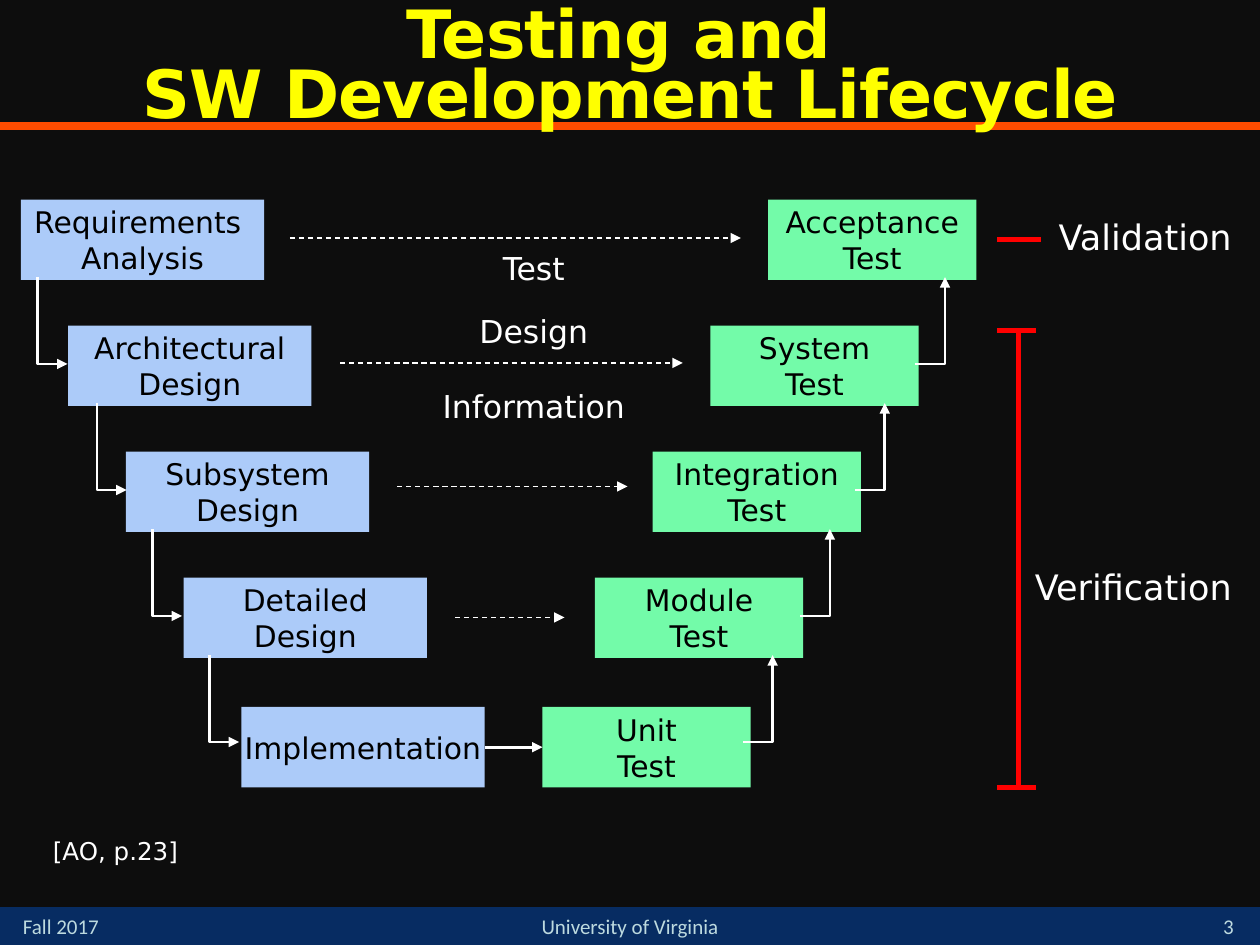
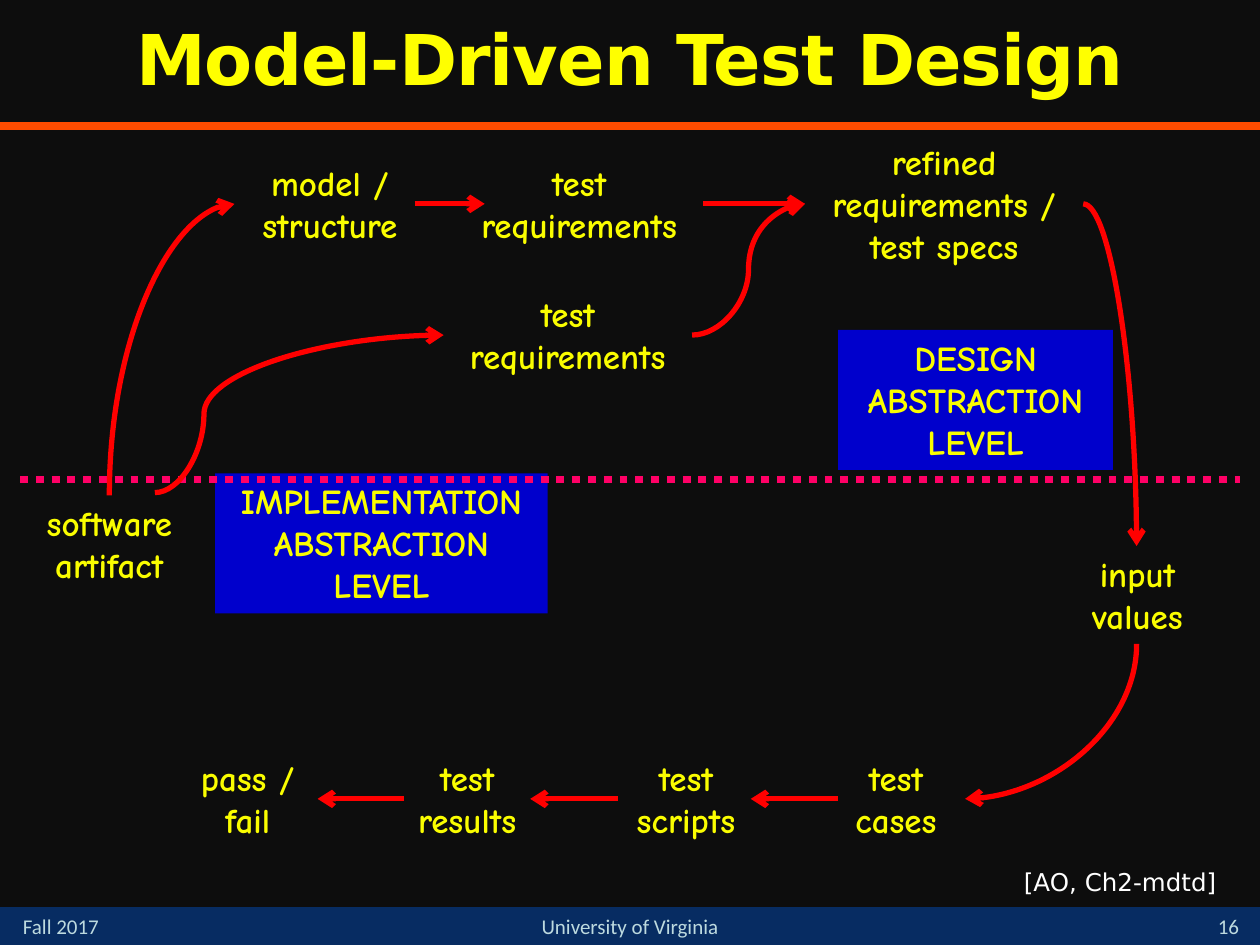
from dataclasses import dataclass

from pptx import Presentation, util as u
from pptx.dml.color import RGBColor
from pptx.enum import dml, shapes, text
from pptx.oxml.ns import qn
from pptx.oxml.xmlchemy import OxmlElement


@dataclass(frozen=True)
class Theme:
    """Colours, fonts and type sizes of both slides."""
    ground: str = "0D0D0D"
    band: str = "072C62"
    rule: str = "FF4C00"
    foot: str = "BDDADF"
    title: str = "FFFF00"
    plan: str = "ACCBF9"
    test: str = "73FBA9"
    ink: str = "000000"
    white: str = "FFFFFF"
    red: str = "FF0000"
    pink: str = "FF0066"
    blue: str = "0000CC"
    step: str = "FAFD00"
    sans: str = "DejaVu Sans"
    comic: str = "Comic Neue"
    plain: str = "Calibri"
    small: int = 12
    cite: int = 14
    box: int = 17
    body: int = 18
    large: int = 20


T = Theme()
WIDE, HIGH = 720, 540
LEFT, MID, RIGHT = (text.PP_ALIGN.LEFT, text.PP_ALIGN.CENTER,
                    text.PP_ALIGN.RIGHT)
TOP, CORE, BASE = (text.MSO_ANCHOR.TOP, text.MSO_ANCHOR.MIDDLE,
                   text.MSO_ANCHOR.BOTTOM)
DASH, DOT = dml.MSO_LINE.DASH, dml.MSO_LINE.ROUND_DOT

# Lifecycle: top, plan box left and lines, test box left and lines
LEVELS = [
    (114, 12, ["Requirements ", "Analysis"], 439, ["Acceptance", "Test"]),
    (186, 39, ["Architectural", "Design"], 406, ["System", "Test"]),
    (258, 72, ["Subsystem", "Design"], 373, ["Integration", "Test"]),
    (330, 105, ["Detailed", "Design"], 340, ["Module", "Test"]),
    (404, 138, ["Implementation"], 310, ["Unit", "Test"]),
]
PLANW, TESTW, BOXH = 139, 119, 46
# x of the step down, x of the step up, dashed arrow y, start and end
LINKS = [
    (21.6, 540, 136, 165.6, 423.4),
    (55.4, 505.6, 207.4, 194.4, 390.2),
    (87, 474.2, 278, 227, 358.6),
    (119.7, 441.5, 352.8, 260, 322.6),
]
STEPY, PITCH, STEPH, STEPW = 158.4, 72, 49.6, 17
BARS = [(570, 189, 592, 189), (582, 189, 582, 450),
        (570, 450, 592, 450), (570, 137, 595, 137)]
SIDES = [("Validation", (588, 119.5, 123, 32)),
         ("Verification", (582, 319.5, 129, 32))]

# Test design: text and place of each step
STEPS = [
    ("software artifact", (8, 283, 109, 55)),
    ("model / structure", (134, 88.5, 109, 55)),
    ("test requirements", (260, 88.5, 142, 55)),
    ("test requirements", (253.5, 163.5, 142, 55)),
    ("refined requirements / test specs", (460, 76.5, 159, 80)),
    ("input values", (595.5, 312, 109, 55)),
    ("test cases", (472.5, 428.5, 79, 55)),
    ("test scripts", (347, 428.5, 90, 55)),
    ("test results", (222, 428.5, 90, 55)),
    ("pass / fail", (97, 428.5, 89, 55)),
]
AREAS = [("IMPLEMENTATION", (123, 270.5, 190, 80)),
         ("DESIGN", (479, 188.5, 157, 80))]
FLOWS = [(237, 116.5, 277, 116.5), (402, 116.5, 460, 116.5),
         (231, 456.5, 181.5, 456.5), (353, 456.5, 303, 456.5),
         (479, 456.5, 429, 456.5)]
# Ends and whether the arc starts out vertically
ARCS = [((62.5, 283, 134, 116.5), True), ((649.5, 368, 551.5, 456.5), True),
        ((619, 116.5, 649.5, 312), False)]
# Ends and the place of the bend
WAVES = [((88.5, 281.5, 253.5, 191.5), 0.17),
         ((395.5, 191.5, 460, 116.5), 0.5)]


def rgb(tint):
    """Turn a hex string into a colour."""
    return RGBColor.from_string(tint)


def fill(shape, lines, size, tint, font=T.sans, bold=False, side=MID,
         stand=TOP, wrap=True, gaps=()):
    """Write one paragraph per line into a shape."""
    frame = shape.text_frame
    frame.word_wrap = wrap
    frame.vertical_anchor = stand
    frame.text = "\n".join(lines)
    for para in frame.paragraphs:
        para.alignment = side
        para.font.name, para.font.size = font, u.Pt(size)
        para.font.bold = bold
        para.font.color.rgb = rgb(tint)
    for para, gap in zip(frame.paragraphs, gaps):
        para.space_before = u.Pt(gap)
    return frame


def label(slide, lines, at, *args, **look):
    """Add a text box."""
    shape = slide.shapes.add_textbox(*map(u.Pt, at))
    return fill(shape, lines, *args, **look)


def block(slide, at, tint):
    """Add a plain filled rectangle."""
    shape = slide.shapes.add_shape(shapes.MSO_SHAPE.RECTANGLE,
                                   *map(u.Pt, at))
    shape.shadow.inherit = False
    shape.fill.solid()
    shape.fill.fore_color.rgb = rgb(tint)
    shape.line.fill.background()
    return shape


def line(slide, ends, tint, width, dash=None, head=None, tail=None,
         kind=shapes.MSO_CONNECTOR.STRAIGHT):
    """Add a connector with optional dash and arrowheads."""
    link = slide.shapes.add_connector(kind, *map(u.Pt, ends))
    link.line.color.rgb = rgb(tint)
    link.line.width = u.Pt(width)
    if dash:
        link.line.dash_style = dash
    props = link._element.spPr
    for tag, tip in (("a:headEnd", head), ("a:tailEnd", tail)):
        if tip:
            end = OxmlElement(tag)
            end.set("type", tip)
            props.find(qn("a:ln")).append(end)
    props.append(OxmlElement("a:effectLst"))
    return props


def turn(slide, ends, preset, *args, upright=True, **look):
    """Add a connector with a single turn, vertical first if upright."""
    x1, y1, x2, y2 = ends
    if upright:
        # Lay the box on its side around the same centre.
        midx, midy = (x1 + x2) / 2, (y1 + y2) / 2
        half, rise = abs(y2 - y1) / 2, abs(x2 - x1) / 2
        if (x2 > x1) == (y2 > y1):
            half = -half
        ends = midx - half, midy - rise, midx + half, midy + rise
    props = line(slide, ends, *args, **look)
    props.find(qn("a:prstGeom")).set("prst", preset)
    if upright:
        angle = 270 if x2 > x1 else 90
        props.find(qn("a:xfrm")).set("rot", str(angle * 60000))


def wave(slide, ends, bend):
    """Add an S-shaped arrow that bends at a share of its width."""
    props = line(slide, ends, T.red, 3, tail="arrow",
                 kind=shapes.MSO_CONNECTOR.CURVE)
    geom = props.find(qn("a:prstGeom"))
    guide = OxmlElement("a:gd")
    guide.set("name", "adj1")
    guide.set("fmla", f"val {round(bend * 100000)}")
    geom.find(qn("a:avLst")).append(guide)


def start(deck, title, size, space, top, page):
    """Add a slide with its ground, footer, rule and title."""
    slide = deck.slides.add_slide(deck.slide_layouts[6])
    slide.background.fill.solid()
    slide.background.fill.fore_color.rgb = rgb(T.ground)
    block(slide, (0, 518.4, WIDE, 21.6), T.band)
    line(slide, (0, 72, WIDE, 72), T.rule, 4.5)
    for word, at, side, stand in (
            ("Fall 2017", (6, 518.4, 84, 21.6), LEFT, TOP),
            (str(page), (684, 516, 36, 24), MID, BASE),
            ("University of Virginia", (264, 518.4, 192, 21.6), MID, TOP)):
        label(slide, [word], at, T.small, T.foot, T.plain, side=side,
              stand=stand)
    frame = label(slide, [title], (0, top, WIDE, 72), size, T.title,
                  bold=True, stand=CORE)
    para = frame.paragraphs[0]
    para.line_spacing = space
    for run in para.runs:
        run._r.get_or_add_rPr().set("spc", "-50")
    return slide


def cycle(deck):
    """Draw the lifecycle with its matching test levels."""
    slide = start(deck, "Testing and \vSW Development Lifecycle",
                  38, 0.75, 4.5, 3)
    for top, planx, plan, testx, test in LEVELS:
        for left, width, lines, tint in ((planx, PLANW, plan, T.plan),
                                         (testx, TESTW, test, T.test)):
            shape = block(slide, (left, top, width, BOXH), tint)
            fill(shape, lines, T.box, T.ink, stand=CORE, wrap=False)
    for row, (down, up, y, begin, end) in enumerate(LINKS):
        high = STEPY + row * PITCH
        low = high + STEPH
        turn(slide, (down, high, down + STEPW, low), "bentConnector2",
             T.white, 1.5, tail="triangle")
        turn(slide, (up, high, up - STEPW, low), "bentConnector2",
             T.white, 1.5, head="triangle")
        line(slide, (begin, y, end, y), T.white, 0.75, DASH,
             tail="triangle")
    label(slide, ["Test", "Design", "Information"], (237.5, 138.5, 135, 109),
          T.body, T.white, gaps=(0, 14.5, 21.5))
    line(slide, (277, 427, 310, 427), T.white, 1.5, tail="triangle")
    label(slide, ["[AO, p.23]"], (12, 474, 108, 24), T.cite, T.white)
    for word, at in SIDES:
        label(slide, [word], at, T.large, T.white, side=RIGHT)
    for ends in BARS:
        line(slide, ends, T.red, 3)


def model(deck):
    """Draw the model-driven test design flow."""
    slide = start(deck, "Model-Driven Test Design", 40, 0.9, 0, 16)
    look = T.large, T.step, T.comic, True
    for word, at in STEPS:
        label(slide, [word], at, *look)
    for word, at in AREAS:
        fill(block(slide, at, T.blue), [word, "ABSTRACTION", "LEVEL"],
             *look, wrap=False)
    for ends in FLOWS:
        line(slide, ends, T.red, 3, tail="arrow")
    line(slide, (11.5, 274, 708.5, 274), T.pink, 4.5, DOT)
    for ends, upright in ARCS:
        turn(slide, ends, "curvedConnector2", T.red, 3, upright=upright,
             tail="arrow", kind=shapes.MSO_CONNECTOR.CURVE)
    for ends, bend in WAVES:
        wave(slide, ends, bend)
    label(slide, ["[AO, Ch2-mdtd]"], (578, 492, 142, 20), T.cite, T.white,
          side=LEFT)


deck = Presentation()
deck.slide_width, deck.slide_height = u.Pt(WIDE), u.Pt(HIGH)
cycle(deck)
model(deck)
deck.save("out.pptx")
